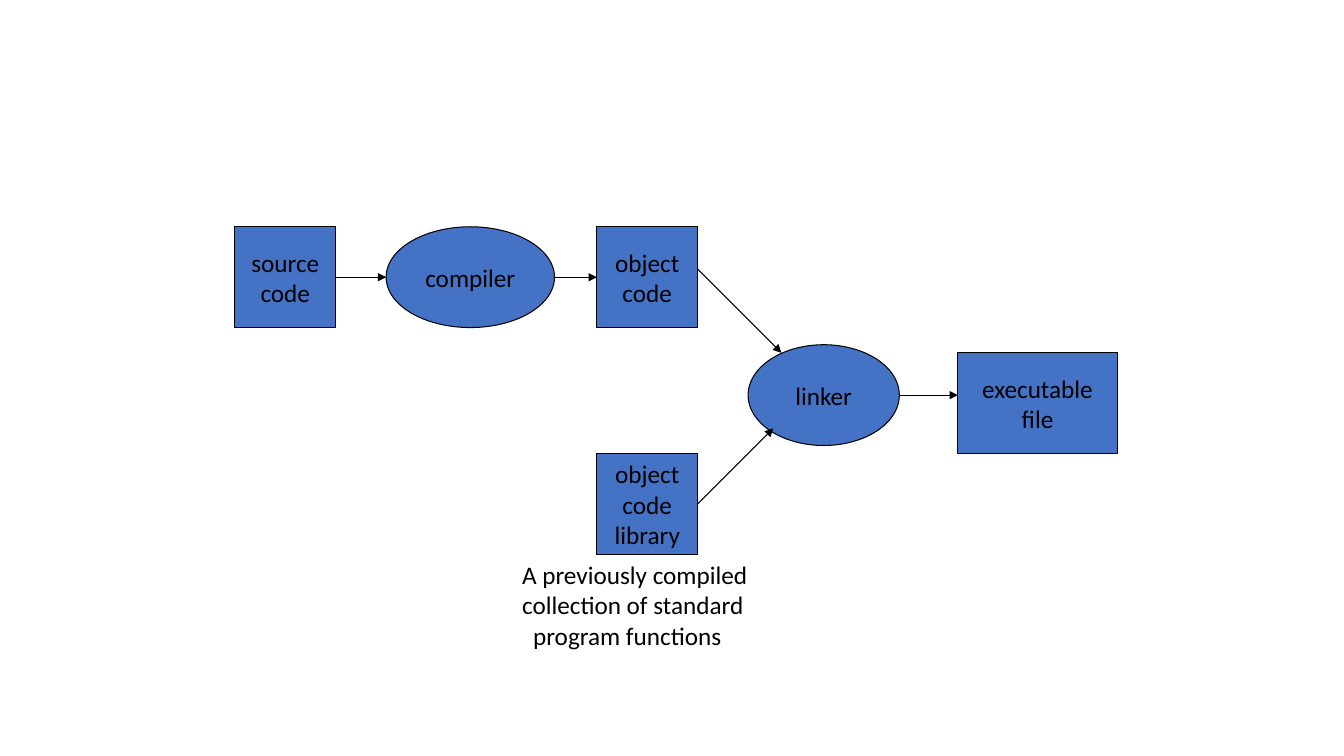
from dataclasses import dataclass

import pptx
import pptx.dml.color
import pptx.enum.shapes
import pptx.enum.text
import pptx.oxml
import pptx.oxml.ns
import pptx.presentation
import pptx.shapes.autoshape
import pptx.slide
import pptx.text.text
import pptx.util

COLORS = {"fill": "4472C4", "ink": "000000"}
FONT_NAME = "Calibri"
FONT_SIZE = 18
LINE_WIDTH = 0.75
NODE_HEIGHT = 1
RECTANGLE = pptx.enum.shapes.MSO_SHAPE.RECTANGLE
OVAL = pptx.enum.shapes.MSO_SHAPE.OVAL


@dataclass(frozen=True)
class Node:
    kind: pptx.enum.shapes.MSO_SHAPE
    left: float
    top: float
    width: float
    lines: tuple[str, ...]


@dataclass(frozen=True)
class Arrow:
    start: tuple[float, float]
    end: tuple[float, float]


NODES = (
    Node(RECTANGLE, 2.33, 2.25, 1, ("source", "code")),
    Node(RECTANGLE, 5.92, 2.25, 1, ("object", "code")),
    Node(RECTANGLE, 5.92, 4.5, 1, ("object", "code", "library")),
    Node(RECTANGLE, 9.5, 3.5, 1.58, ("executable", "file")),
    Node(OVAL, 3.83, 2.25, 1.67, ("compiler",)),
    Node(OVAL, 7.42, 3.42, 1.5, ("linker",)),
)

ARROWS = (
    Arrow((3.33, 2.75), (3.83, 2.75)),
    Arrow((5.5, 2.75), (5.92, 2.75)),
    Arrow((6.92, 2.67), (7.75, 3.5)),
    Arrow((6.92, 5), (7.67, 4.25)),
    Arrow((8.92, 3.92), (9.5, 3.92)),
)

CAPTION = ("A previously compiled", "collection of standard", "program functions")
CAPTION_LAST_INDENT = 0.11


def color(name: str) -> pptx.dml.color.RGBColor:
    return pptx.dml.color.RGBColor.from_string(COLORS[name])


def write_lines(
    frame: pptx.text.text.TextFrame,
    lines: tuple[str, ...],
    alignment: pptx.enum.text.PP_ALIGN,
) -> None:
    frame.word_wrap = True
    for index, line in enumerate(lines):
        paragraph = frame.add_paragraph() if index else frame.paragraphs[0]
        paragraph.alignment = alignment
        run = paragraph.add_run()
        run.text = line
        run.font.name = FONT_NAME
        run.font.size = pptx.util.Pt(FONT_SIZE)
        run.font.color.rgb = color("ink")


def draw_node(slide: pptx.slide.Slide, node: Node) -> None:
    shape = slide.shapes.add_shape(
        node.kind,
        pptx.util.Inches(node.left),
        pptx.util.Inches(node.top),
        pptx.util.Inches(node.width),
        pptx.util.Inches(NODE_HEIGHT),
    )
    shape.shadow.inherit = False
    shape.fill.solid()
    shape.fill.fore_color.rgb = color("fill")
    shape.line.color.rgb = color("ink")
    shape.line.width = pptx.util.Pt(LINE_WIDTH)
    shape.text_frame.vertical_anchor = pptx.enum.text.MSO_ANCHOR.MIDDLE
    write_lines(shape.text_frame, node.lines, pptx.enum.text.PP_ALIGN.CENTER)


def draw_arrow(slide: pptx.slide.Slide, arrow: Arrow) -> None:
    connector = slide.shapes.add_connector(
        pptx.enum.shapes.MSO_CONNECTOR.STRAIGHT,
        *(pptx.util.Inches(value) for value in arrow.start + arrow.end),
    )
    connector.line.color.rgb = color("ink")
    connector.line.width = pptx.util.Pt(LINE_WIDTH)
    head = pptx.oxml.parse_xml(
        f'<a:tailEnd {pptx.oxml.ns.nsdecls("a")} type="triangle"/>'
    )
    connector.line._get_or_add_ln().append(head)
    effects = pptx.oxml.parse_xml(f'<a:effectLst {pptx.oxml.ns.nsdecls("a")}/>')
    connector._element.spPr.append(effects)


def draw_caption(slide: pptx.slide.Slide) -> None:
    caption = slide.shapes.add_textbox(
        pptx.util.Inches(5.08),
        pptx.util.Inches(5.5),
        pptx.util.Inches(2.63),
        pptx.util.Inches(1),
    )
    write_lines(caption.text_frame, CAPTION, pptx.enum.text.PP_ALIGN.LEFT)
    last_paragraph = caption.text_frame.paragraphs[-1]
    indent = pptx.util.Inches(CAPTION_LAST_INDENT)
    last_paragraph._p.get_or_add_pPr().set("marL", str(indent))


def main() -> None:
    presentation = pptx.Presentation()
    presentation.slide_width = pptx.util.Inches(13.33)
    presentation.slide_height = pptx.util.Inches(7.5)
    slide = presentation.slides.add_slide(presentation.slide_layouts[6])
    for node in NODES:
        draw_node(slide, node)
    for arrow in ARROWS:
        draw_arrow(slide, arrow)
    draw_caption(slide)
    presentation.save("out.pptx")


if __name__ == "__main__":
    main()
